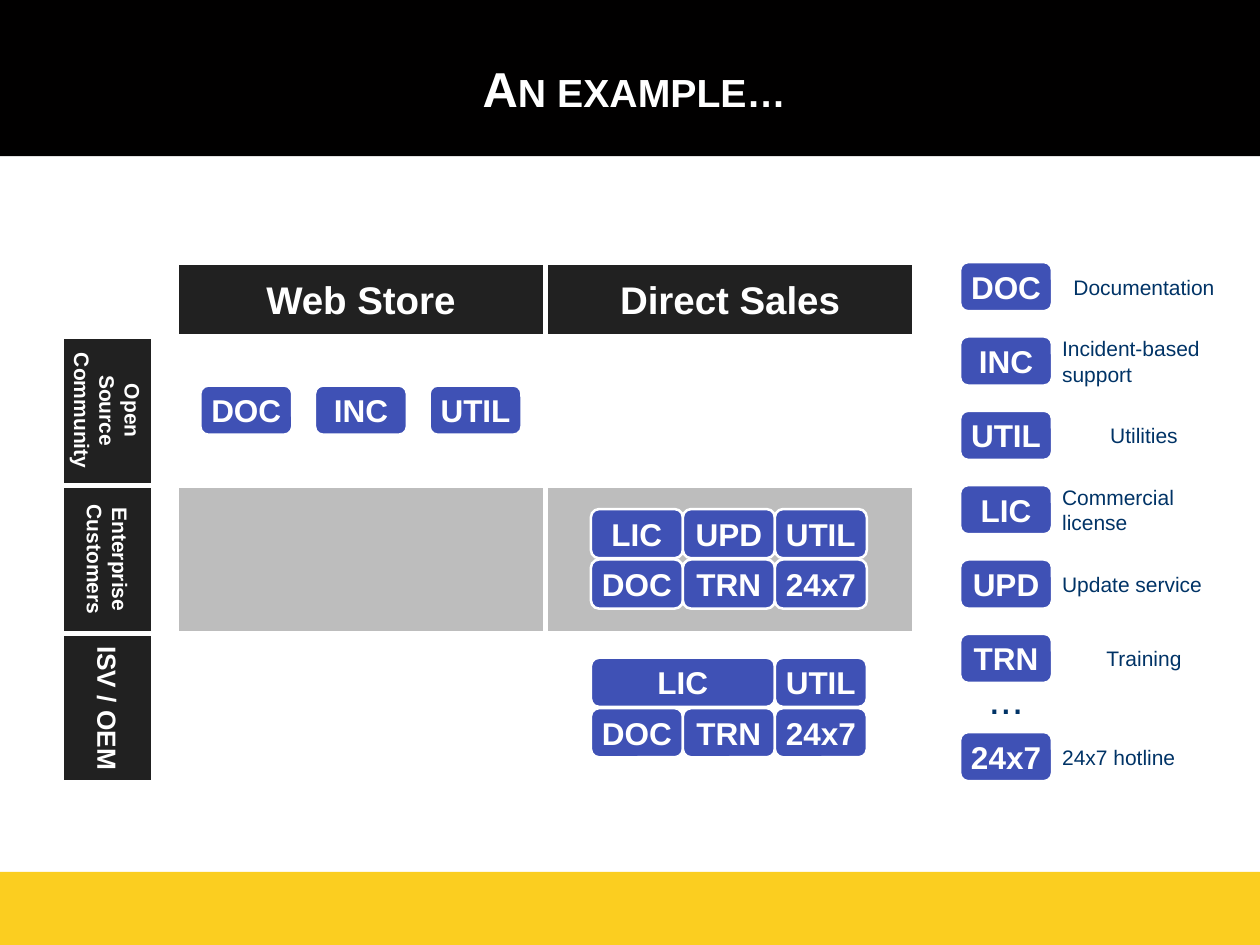
from pptx import Presentation
from pptx.dml.color import RGBColor as Rgb
from pptx.enum.shapes import MSO_SHAPE as Kind
from pptx.enum.text import MSO_ANCHOR as Anchor, PP_ALIGN as Align
from pptx.util import Inches, Pt

HUE = {"white": "FFFFFF", "black": "010000", "gold": "FBCE20", "dark": "212121",
       "gray": "BDBDBD", "blue": "3F51B5", "navy": "003366"}
FONT = "Arial"
TAG_W, TAG_H = 0.73, 0.39
COL_X, COL_W = (1.4, 4.33), 2.93
HEAD_Y, HEAD_H = 2.08, 0.59
ROW_Y, ROW_H = (2.67, 3.85, 5.03), 1.18
SIDE_X, SIDE_W = 0.49, 0.73
KEY_X, KEY_W = 7.62, 1.46


def write(shape, text, size=18, hue="white", bold=True, align=Align.CENTER,
          wrap=False, pad=0, caps=False):
    """Put each line of text in its own formatted paragraph."""
    frame = shape.text_frame
    frame.word_wrap = wrap
    frame.vertical_anchor = Anchor.MIDDLE
    frame.margin_left = frame.margin_right = Inches(pad)
    frame.margin_top = frame.margin_bottom = 0
    for i, line in enumerate(text.split("\n")):
        para = frame.add_paragraph() if i else frame.paragraphs[0]
        para.alignment = align
        run = para.add_run()
        run.text = line
        font = run.font
        font.name, font.size, font.bold = FONT, Pt(size), bold
        font.color.rgb = Rgb.from_string(HUE[hue])
        if caps:
            run._r.get_or_add_rPr().set("cap", "small")


class Deck:
    """Hold the style and the current slide."""

    def __init__(self):
        """Open a deck with one blank slide."""
        self.show = Presentation()
        self.show.slide_width, self.show.slide_height = Inches(10), Inches(7.5)
        self.slide = self.show.slides.add_slide(self.show.slide_layouts[6])

    def block(self, x, y, w, h, fill, line=2.83, kind=Kind.RECTANGLE):
        """Add a filled shape with a white edge, or none when line is 0."""
        shape = self.slide.shapes.add_shape(
            kind, Inches(x), Inches(y), Inches(w), Inches(h))
        shape.shadow.inherit = False
        shape.fill.solid()
        shape.fill.fore_color.rgb = Rgb.from_string(HUE[fill])
        if line:
            shape.line.color.rgb = Rgb.from_string(HUE["white"])
            shape.line.width = Pt(line)
        else:
            shape.line.fill.background()
        return shape

    def label(self, x, y, w, h, text, **style):
        """Add a text box."""
        box = self.slide.shapes.add_textbox(
            Inches(x), Inches(y), Inches(w), Inches(h))
        write(box, text, **style)

    def tag(self, x, y, text, span=1):
        """Add a rounded product tag."""
        shape = self.block(x, y, TAG_W * span, TAG_H, "blue", 1.45,
                           Kind.ROUNDED_RECTANGLE)
        write(shape, text)

    def side(self, y, text, size):
        """Add a row heading turned a quarter clockwise."""
        shift = (ROW_H - SIDE_W) / 2
        shape = self.block(SIDE_X - shift, y + shift, ROW_H, SIDE_W, "dark")
        shape.rotation = 90
        write(shape, text, size=size)

    def key(self, y, code, text, align):
        """Add a legend entry."""
        self.tag(KEY_X, y, code)
        self.label(KEY_X + TAG_W, y - 0.1, KEY_W, HEAD_H, text, size=12,
                   hue="navy", bold=False, align=align, wrap=True, pad=0.08)


def main():
    """Build the slide."""
    deck = Deck()
    deck.block(0, 6.92, 10, 0.58, "gold", 0)
    deck.block(0, 0, 10, 1.24, "black", 0)
    deck.label(0.49, 0.16, 9.09, 1.08, "An example…", size=28, wrap=True, caps=True)

    for col, row, fill in ((0, 0, "white"), (0, 1, "gray"),
                           (1, 1, "gray"), (1, 2, "white")):
        deck.block(COL_X[col], ROW_Y[row], COL_W, ROW_H, fill)
    for x, text in zip(COL_X, ("Web Store", "Direct Sales")):
        write(deck.block(x, HEAD_Y, COL_W, HEAD_H, "dark"), text, size=22)
    sides = (("Open\nSource\nCommunity", 12), ("Enterprise\nCustomers", 12),
             ("ISV / OEM", 15))
    for y, (text, size) in zip(ROW_Y, sides):
        deck.side(y, text, size)

    for i, code in enumerate(("DOC", "INC", "UTIL")):
        deck.tag(1.59 + 0.91 * i, 3.06, code)
    base = (("DOC", 1), ("TRN", 1), ("24x7", 1))
    stacks = ((4.04, (("LIC", 1), ("UPD", 1), ("UTIL", 1))),
              (4.44, base),
              (5.22, (("LIC", 2), ("UTIL", 1))),
              (5.62, base))
    for y, tags in stacks:
        x = 4.69
        for code, span in tags:
            deck.tag(x, y, code, span)
            x += TAG_W * span

    keys = (("DOC", "Documentation", Align.CENTER),
            ("INC", "Incident-based\nsupport", Align.LEFT),
            ("UTIL", "Utilities", Align.CENTER),
            ("LIC", "Commercial\nlicense", Align.LEFT),
            ("UPD", "Update service", Align.LEFT),
            ("TRN", "Training", Align.CENTER))
    for i, item in enumerate(keys):
        deck.key(HEAD_Y + HEAD_H * i, *item)
    deck.label(KEY_X, 5.24, TAG_W, HEAD_H, "...", size=24, hue="navy", bold=False)
    deck.key(5.81, "24x7", "24x7 hotline", Align.LEFT)
    deck.show.save("out.pptx")


if __name__ == "__main__":
    main()
